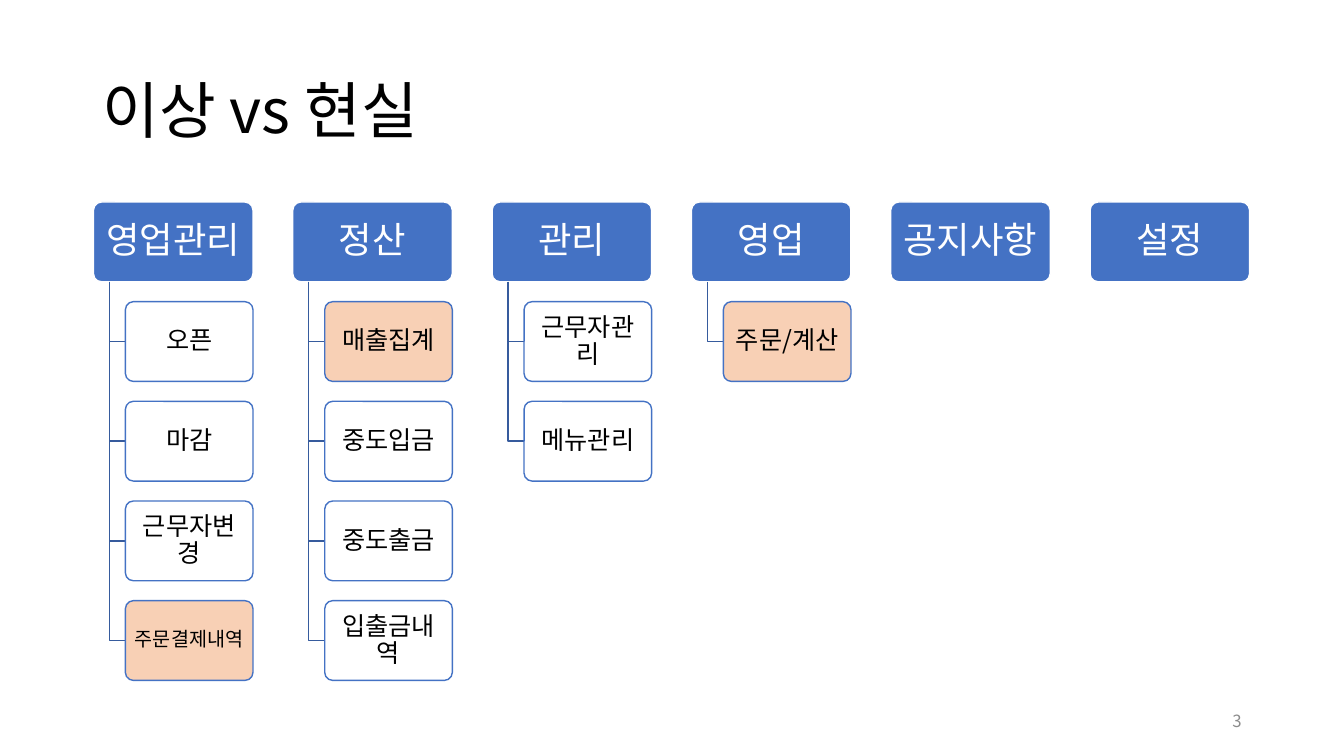
from dataclasses import dataclass

from lxml.etree import SubElement
from pptx import Presentation
from pptx.dml.color import RGBColor
from pptx.enum.shapes import MSO_SHAPE as Shape
from pptx.enum.text import MSO_ANCHOR as Anchor, MSO_AUTO_SIZE as AutoSize, PP_ALIGN as Align
from pptx.oxml.ns import qn
from pptx.util import Pt

FONT = "Noto Sans CJK KR"
COLORS = {
    "header": "4472C4",
    "link": "365B9D",
    "plain": "FFFFFF",
    "marked": "F8CBAD",
    "text": "000000",
    "number": "8C8C8C",
}

LEFT, TOP = 66.8, 144.3
BOX_W, BOX_H = 113.9, 56.95
COLUMN_STEP, ROW_STEP = BOX_W * 1.25, BOX_H * 1.25
INDENT = BOX_W * 0.2


@dataclass(frozen=True)
class Item:
    name: str
    marked: bool = False
    size: float = 18


@dataclass(frozen=True)
class Menu:
    name: str
    items: tuple[Item, ...] = ()


MENUS = (
    Menu("영업관리", (Item("오픈"), Item("마감"), Item("근무자변경"),
                  Item("주문결제내역", marked=True, size=14))),
    Menu("정산", (Item("매출집계", marked=True), Item("중도입금"),
                Item("중도출금"), Item("입출금내역"))),
    Menu("관리", (Item("근무자관리"), Item("메뉴관리"))),
    Menu("영업", (Item("주문/계산", marked=True),)),
    Menu("공지사항"),
    Menu("설정"),
)


def rgb(name: str) -> RGBColor:
    return RGBColor.from_string(COLORS[name])


def write(sp, text: str, *, size: float, color: str = "text",
          align=Align.CENTER, spacing: float = 0.9) -> None:
    tf = sp.text_frame
    tf.word_wrap = True
    tf.auto_size = AutoSize.NONE
    tf.vertical_anchor = Anchor.MIDDLE
    p = tf.paragraphs[0]
    p.alignment = align
    p.line_spacing = spacing
    r = p.add_run()
    r.text = text
    r.font.size = Pt(size)
    r.font.name = FONT
    r.font.color.rgb = rgb(color)
    SubElement(r.font._element, qn("a:ea"), typeface=FONT)


def add_box(s, x: float, y: float, w: float, text: str, *, size: float,
            fill: str, line: str, color: str, opacity: int = 100) -> None:
    sp = s.shapes.add_shape(Shape.ROUNDED_RECTANGLE, Pt(x), Pt(y), Pt(w), Pt(BOX_H))
    sp.adjustments[0] = 0.1
    sp.shadow.inherit = False
    sp.fill.solid()
    sp.fill.fore_color.rgb = rgb(fill)
    if opacity < 100:
        srgb = sp._element.spPr.find(f"{qn('a:solidFill')}/{qn('a:srgbClr')}")
        SubElement(srgb, qn("a:alpha"), val=str(opacity * 1000))
    sp.line.color.rgb = rgb(line)
    sp.line.width = Pt(1)
    tf = sp.text_frame
    tf.margin_left = tf.margin_right = Pt(size * 0.15)
    tf.margin_top = tf.margin_bottom = Pt(size * 0.1)
    write(sp, text, size=size, color=color)


def add_link(s, x: float, top: float, bottom: float, right: float) -> None:
    """Draw an elbow down from a menu and across to one of its items."""
    builder = s.shapes.build_freeform(Pt(x), Pt(top))
    builder.add_line_segments([(Pt(x), Pt(bottom)), (Pt(right), Pt(bottom))], close=False)
    sp = builder.convert_to_shape()
    sp.shadow.inherit = False
    sp.fill.background()
    sp.line.color.rgb = rgb("link")
    sp.line.width = Pt(1)


def add_menu(s, menu: Menu, x: float) -> None:
    add_box(s, x, TOP, BOX_W, menu.name, size=26,
            fill="header", line="plain", color="plain")
    for row, item in enumerate(menu.items, start=1):
        y = TOP + row * ROW_STEP
        add_link(s, x + INDENT / 2, TOP + BOX_H, y + BOX_H / 2, x + INDENT)
        add_box(s, x + INDENT, y, BOX_W * 0.8, item.name, size=item.size,
                fill="marked" if item.marked else "plain",
                line="header", color="text", opacity=90)


def main() -> None:
    prs = Presentation()
    prs.slide_width, prs.slide_height = Pt(960), Pt(540)
    s = prs.slides.add_slide(prs.slide_layouts[5])

    title = s.shapes.title
    title.left, title.top, title.width, title.height = Pt(66), Pt(28.75), Pt(828), Pt(104.4)
    write(title, "이상 vs 현실", size=44, align=Align.LEFT)

    for column, menu in enumerate(MENUS):
        add_menu(s, menu, LEFT + column * COLUMN_STEP)

    number = s.shapes.add_textbox(Pt(678), Pt(500.5), Pt(216), Pt(28.75))
    write(number, "3", size=12, color="number", align=Align.RIGHT, spacing=1.0)

    prs.save("out.pptx")


if __name__ == "__main__":
    main()
